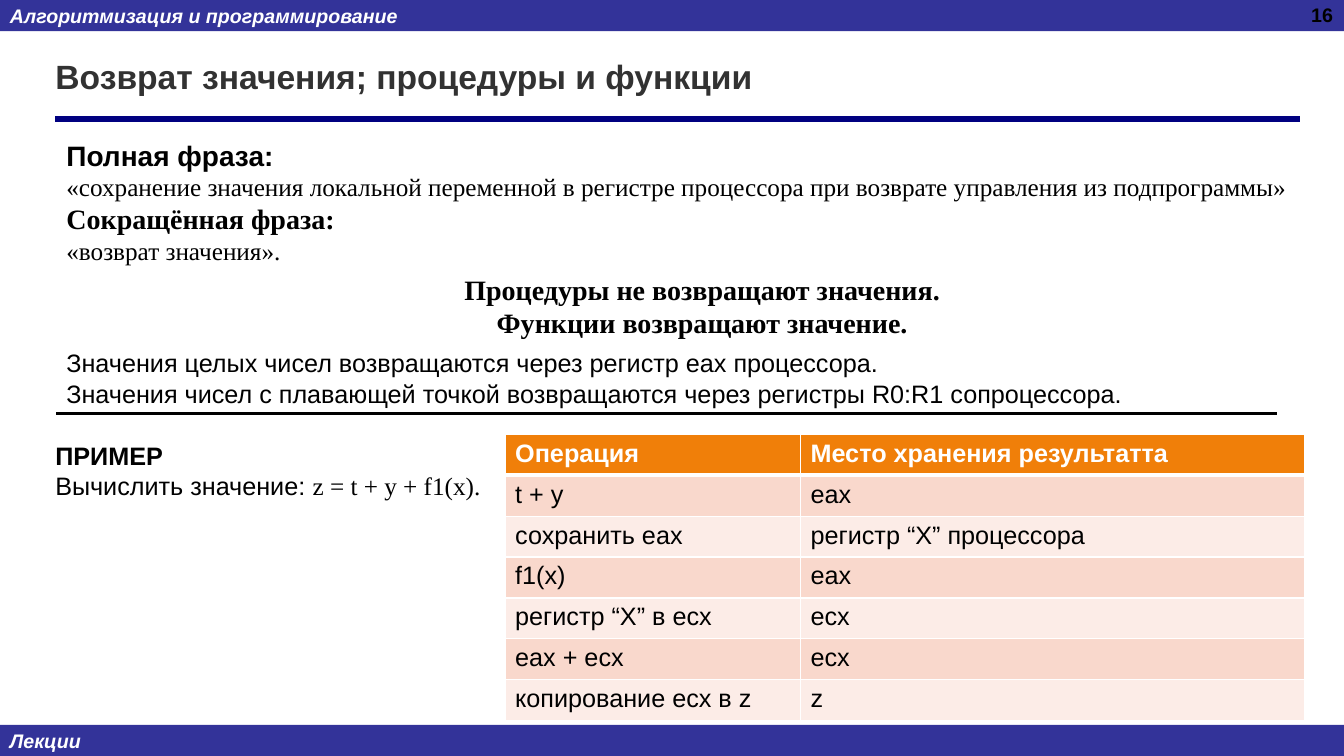
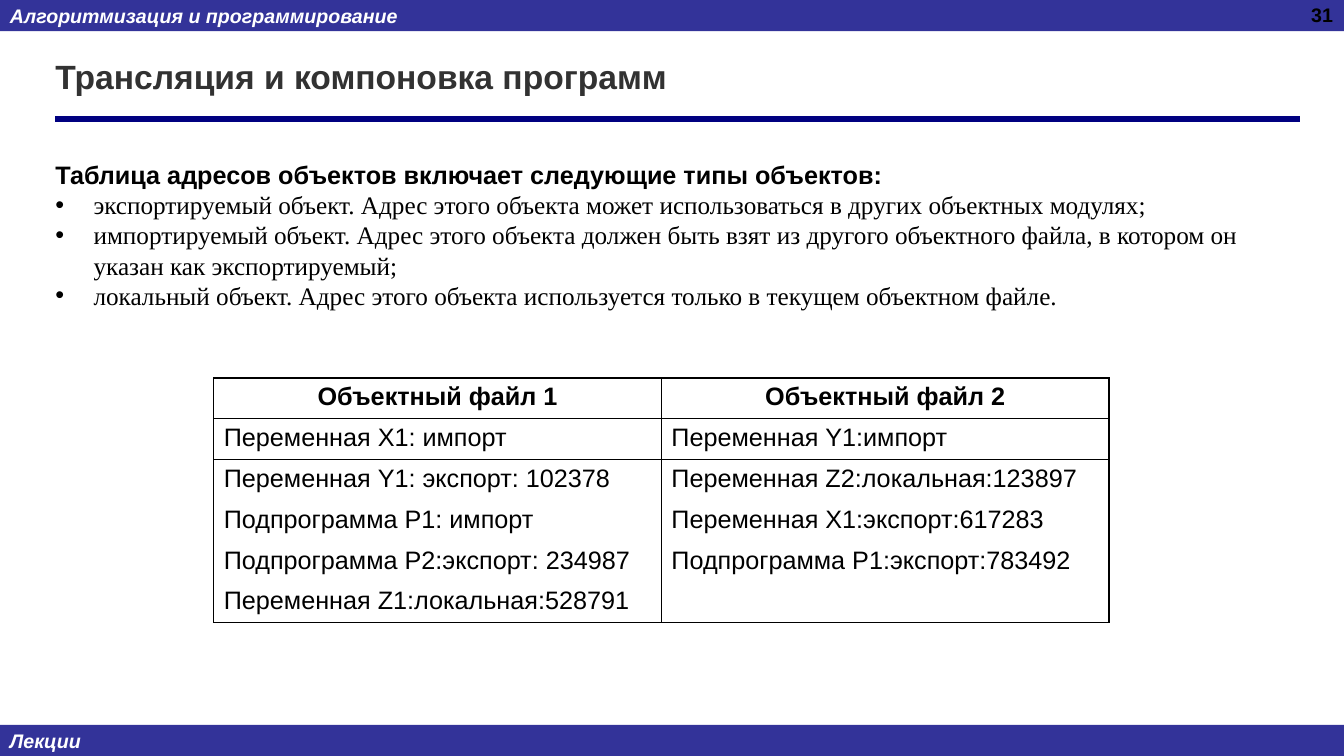
import pptx
import pptx.dml.color
import pptx.enum.shapes
import pptx.enum.text
import pptx.oxml
import pptx.oxml.ns
import pptx.util
from lxml import etree

Inches = pptx.util.Inches
Pt = pptx.util.Pt
ALIGN = pptx.enum.text.PP_ALIGN
MIDDLE = pptx.enum.text.MSO_ANCHOR.MIDDLE

SANS, SERIF = "Arial", "Times New Roman"
BLACK, WHITE = "000000", "FFFFFF"
BAND, RULE, TITLE = "333399", "000080", "323232"
HEADER, ROW_DARK, ROW_LIGHT = "F07F09", "F9D8CC", "FCECE7"
WIDTH, HEIGHT, BAND_HEIGHT = 13.33, 7.5, 0.31
SIDES = ("L", "R", "T", "B")


def color(value):
    """Return the colour for a hex string."""
    return pptx.dml.color.RGBColor.from_string(value)


def style(span, size=18, font=SANS, ink=BLACK, bold=False, italic=False):
    """Format one run."""
    span.font.size, span.font.name = Pt(size), font
    span.font.bold, span.font.italic = bold, italic
    span.font.color.rgb = color(ink)


def fill_para(para, text, align=ALIGN.LEFT, **look):
    """Write one paragraph in a single style."""
    para.text = text
    para.alignment = align
    for span in para.runs:
        style(span, **look)


def add_text(page, box, lines):
    """Add a wrapping text box; each line is a text and its look."""
    shape = page.shapes.add_textbox(*map(Inches, box))
    frame = shape.text_frame
    frame.word_wrap = True
    frame.auto_size = pptx.enum.text.MSO_AUTO_SIZE.SHAPE_TO_FIT_TEXT
    frame.text = "\n".join(text for text, look in lines)
    for para, (text, look) in zip(frame.paragraphs, lines):
        fill_para(para, text, **look)
    return frame


def indent(para, left, first, bullet=None):
    """Set the indents of a paragraph and, if given, its bullet."""
    props = para._p.get_or_add_pPr()
    props.set("marL", str(Inches(left)))
    props.set("indent", str(Inches(first)))
    if bullet:
        font = etree.SubElement(props, pptx.oxml.ns.qn("a:buFont"))
        font.set("typeface", SANS)
        mark = etree.SubElement(props, pptx.oxml.ns.qn("a:buChar"))
        mark.set("char", bullet)


def add_rule(page, left, right, top, ink, width):
    """Draw a horizontal line."""
    line = page.shapes.add_connector(
        pptx.enum.shapes.MSO_CONNECTOR.STRAIGHT,
        Inches(left), Inches(top), Inches(right), Inches(top))
    line.line.color.rgb = color(ink)
    line.line.width = Pt(width)
    etree.SubElement(line._element.spPr, pptx.oxml.ns.qn("a:effectLst"))


def add_band(page, top, text):
    """Draw a full-width band with its label."""
    band = page.shapes.add_shape(
        pptx.enum.shapes.MSO_SHAPE.RECTANGLE,
        *map(Inches, (0, top, WIDTH, BAND_HEIGHT)))
    band.shadow.inherit = False
    band.fill.solid()
    band.fill.fore_color.rgb = color(BAND)
    band.line.fill.background()
    band.text_frame.vertical_anchor = MIDDLE
    fill_para(band.text_frame.paragraphs[0], text,
              size=14, ink=WHITE, bold=True, italic=True)


def add_page(deck, title, number):
    """Add a slide with the shared bands, rule, title and number."""
    page = deck.slides.add_slide(deck.slide_layouts[5])
    add_band(page, 0, "Алгоритмизация и программирование")
    add_band(page, HEIGHT - BAND_HEIGHT, "Лекции")
    add_rule(page, 0.55, 12.89, 1.18, RULE, 4.5)
    head = page.shapes.title
    head.left, head.top, head.width, head.height = map(
        Inches, (0.45, 0.33, 12.21, 0.85))
    head.text_frame.vertical_anchor = MIDDLE
    fill_para(head.text_frame.paragraphs[0], title,
              size=24, ink=TITLE, bold=True)
    add_text(page, (10.21, -0.02, 3.11, 0.52),
             [(number, dict(align=ALIGN.RIGHT, size=14, bold=True))])
    return page


def border(cell, side, ink, width):
    """Set one border of a cell; no ink hides it."""
    props = cell._tc.get_or_add_tcPr()
    line = etree.SubElement(props, pptx.oxml.ns.qn("a:ln" + side))
    line.set("w", str(Pt(width)))
    if ink:
        paint = etree.SubElement(line, pptx.oxml.ns.qn("a:solidFill"))
        etree.SubElement(paint, pptx.oxml.ns.qn("a:srgbClr")).set("val", ink)
    else:
        etree.SubElement(line, pptx.oxml.ns.qn("a:noFill"))


def add_grid(page, box, widths, rows, cell_look):
    """Add a table; cell_look gives fill, borders and text look by row."""
    table = page.shapes.add_table(
        len(rows), len(widths), *map(Inches, box)).table
    table.first_row = table.horz_banding = False
    for column, width in zip(table.columns, widths):
        column.width = Inches(width)
    for index, row in enumerate(rows):
        fill, borders, look = cell_look(index)
        for cell, text in zip(table.rows[index].cells, row):
            for side in SIDES:
                border(cell, side, *borders[side])
            if fill:
                cell.fill.solid()
                cell.fill.fore_color.rgb = color(fill)
            else:
                cell.fill.background()
            fill_para(cell.text_frame.paragraphs[0], text, **look)


def operation_look(index):
    """Style a row of the operations table."""
    borders = {side: (WHITE, 1) for side in SIDES}
    if index < 2:
        borders["B" if index == 0 else "T"] = (WHITE, 3)
    if index == 0:
        return HEADER, borders, dict(ink=WHITE, bold=True)
    return (ROW_DARK if index % 2 else ROW_LIGHT), borders, {}


def object_look(index):
    """Style a row of the object files table."""
    borders = {side: (BLACK, 1) for side in "LR"}
    borders["T"] = (BLACK if index <= 2 else None, 1)
    borders["B"] = (BLACK if index in (0, 1, 5) else None, 1)
    look = dict(bold=True, align=ALIGN.CENTER) if index == 0 else {}
    return None, borders, look


def return_values(deck):
    """Build the slide on return values."""
    page = add_page(deck, "Возврат значения; процедуры и функции", "16")
    add_text(page, (0.56, 1.32, 12.38, 1.38), [
        ("Полная фраза:", dict(size=20, bold=True)),
        ("«сохранение значения локальной переменной в регистре процессора "
         "при возврате управления из подпрограммы»", dict(font=SERIF)),
        ("Сокращённая фраза:", dict(size=20, font=SERIF, bold=True)),
        ("«возврат значения».", dict(font=SERIF))])
    claim = dict(size=20, font=SERIF, bold=True, align=ALIGN.CENTER)
    claims = add_text(page, (0.64, 2.65, 12.16, 0.77), [
        ("Процедуры не возвращают значения.", claim),
        ("Функции возвращают значение.", claim)])
    for para in claims.paragraphs:
        indent(para, 0, 0.49)
    add_text(page, (0.56, 3.4, 12.25, 0.71), [
        ("Значения целых чисел возвращаются через регистр eax процессора.",
         {}),
        ("Значения чисел с плавающей точкой возвращаются через регистры "
         "R0:R1 сопроцессора.", {})])
    example = add_text(page, (0.45, 4.32, 4.56, 0.71), [
        ("ПРИМЕР", dict(bold=True)),
        ("Вычислить значение: ", {})])
    formula = example.paragraphs[1].add_run()
    formula.text = "z = t + y + f1(x)."
    style(formula, font=SERIF)
    add_grid(page, (5.01, 4.31, 7.93, 2.84), (2.93, 5), [
        ("Операция", "Место хранения результатта"),
        ("t + y", "eax"),
        ("сохранить eax", "регистр “X” процессора"),
        ("f1(x)", "eax"),
        ("регистр “X” в ecx", "ecx"),
        ("eax + ecx", "ecx"),
        ("копирование ecx в z", "z")], operation_look)
    add_rule(page, 0.56, 12.67, 4.1, BLACK, 2.25)


def object_files(deck):
    """Build the slide on object address tables."""
    page = add_page(deck, "Трансляция и компоновка программ", "31")
    kinds = add_text(page, (0.45, 1.53, 12.37, 1.62), [
        ("Таблица адресов объектов включает следующие типы объектов:",
         dict(bold=True)),
        ("экспортируемый объект. Адрес этого объекта может использоваться "
         "в других объектных модулях;", dict(font=SERIF)),
        ("импортируемый объект. Адрес этого объекта должен быть взят из "
         "другого объектного файла, в котором он указан как "
         "экспортируемый;", dict(font=SERIF)),
        ("локальный объект. Адрес этого объекта используется только в "
         "текущем объектном файле.", dict(font=SERIF))])
    for para in kinds.paragraphs[1:]:
        indent(para, 0.38, -0.38, "•")
    add_grid(page, (2.12, 3.75, 8.89, 2.43), (4.44, 4.44), [
        ("Объектный файл 1", "Объектный файл 2"),
        ("Переменная X1: импорт", "Переменная Y1:импорт"),
        ("Переменная Y1: экспорт: 102378", "Переменная Z2:локальная:123897"),
        ("Подпрограмма Р1: импорт", "Переменная X1:экспорт:617283"),
        ("Подпрограмма Р2:экспорт: 234987", "Подпрограмма Р1:экспорт:783492"),
        ("Переменная Z1:локальная:528791", "")], object_look)


deck = pptx.Presentation()
deck.slide_width, deck.slide_height = Inches(WIDTH), Inches(HEIGHT)
return_values(deck)
object_files(deck)
deck.save("out.pptx")
